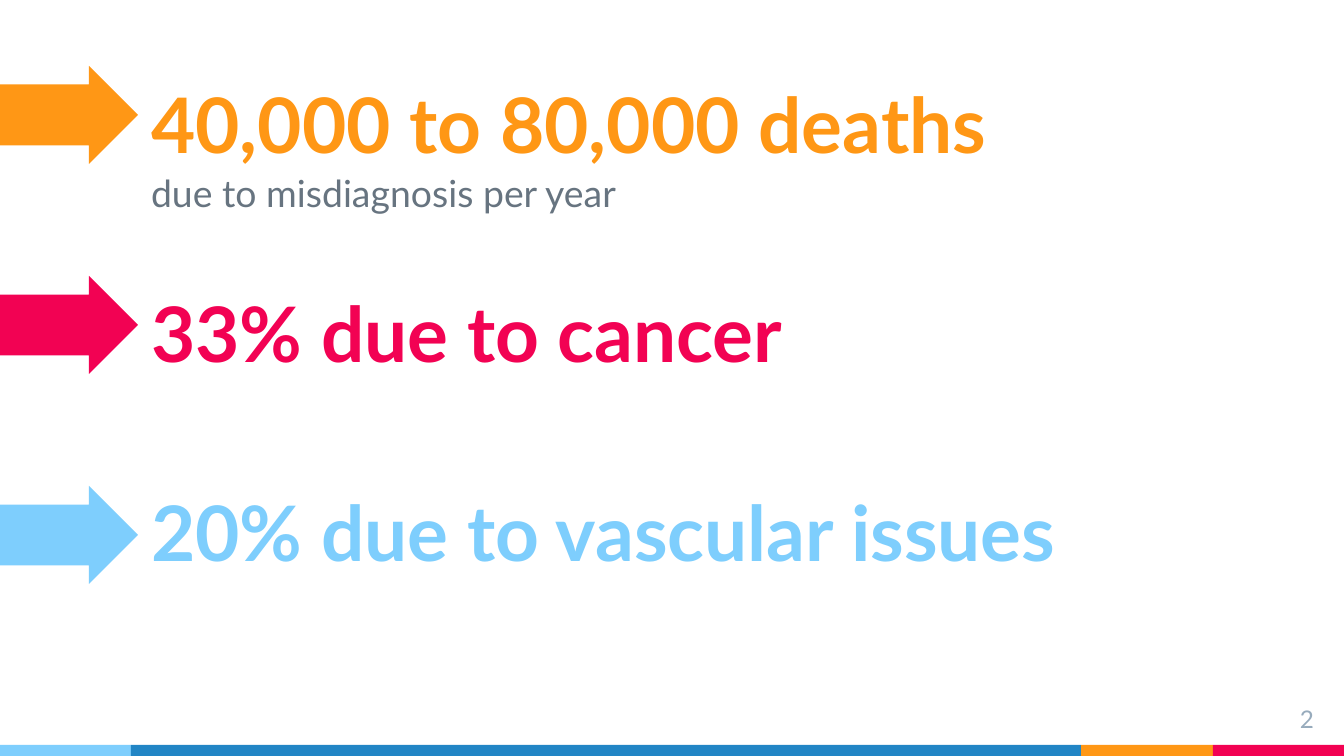
import dataclasses
import typing

import pptx
import pptx.dml.color
import pptx.enum.shapes
import pptx.enum.text
import pptx.util

SHAPE = pptx.enum.shapes.MSO_SHAPE
ALIGN = pptx.enum.text.PP_ALIGN
ANCHOR = pptx.enum.text.MSO_ANCHOR
SCALE = 914400 / 134.4  # EMU in one px
WIDE, HIGH = 1344, 756


@dataclasses.dataclass(frozen=True)
class Theme:
    font: str = "Lato"
    orange: str = "FF9715"
    pink: str = "F20253"
    sky: str = "7ECEFD"
    blue: str = "2185C5"
    slate: str = "677480"
    mist: str = "97ABBC"
    head: int = 41
    body: int = 20
    small: int = 13
    inset: int = 13


@dataclasses.dataclass(frozen=True)
class Box:
    left: int
    top: int
    width: int
    height: int

    def emu(self) -> list[int]:
        return [px(n) for n in dataclasses.astuple(self)]


@dataclasses.dataclass(frozen=True)
class Fact:
    text: str
    color: str
    top: int


THEME = Theme()
FACTS = [
    Fact("40,000 to 80,000 deaths", THEME.orange, 50),
    Fact("33% due to cancer", THEME.pink, 259),
    Fact("20% due to vascular issues", THEME.sky, 458),
]
ARROW = Box(0, 66, 138, 98)
PITCH = 210
COLUMN = 1105
EDGES = [0, 131, 1081, 1213, WIDE]
STRIPES = [THEME.sky, THEME.blue, THEME.orange, THEME.pink]
STRIPE_TOP = 745


def px(count: int) -> int:
    return round(count * SCALE)


def rgb(color: str) -> pptx.dml.color.RGBColor:
    return pptx.dml.color.RGBColor.from_string(color)


def add_block(slide: typing.Any, kind: typing.Any, box: Box, color: str) -> typing.Any:
    shape = slide.shapes.add_shape(kind, *box.emu())
    shape.shadow.inherit = False
    shape.fill.solid()
    shape.fill.fore_color.rgb = rgb(color)
    shape.line.fill.background()
    return shape


def set_text(shape: typing.Any, box: Box, text: str, size: int, color: str,
             bold: bool = False, anchor: typing.Any = ANCHOR.TOP,
             align: typing.Any = ALIGN.LEFT, before: int = 0) -> None:
    shape.left, shape.top, shape.width, shape.height = box.emu()
    frame = shape.text_frame
    frame.text = text
    frame.word_wrap = True
    frame.auto_size = pptx.enum.text.MSO_AUTO_SIZE.NONE
    frame.vertical_anchor = anchor
    frame.margin_left = frame.margin_right = px(THEME.inset)
    frame.margin_top = frame.margin_bottom = px(THEME.inset)
    para = frame.paragraphs[0]
    para.alignment = align
    para.space_before = pptx.util.Pt(before)
    para.font.name = THEME.font
    para.font.size = pptx.util.Pt(size)
    para.font.bold = bold
    para.font.color.rgb = rgb(color)


def add_text(slide: typing.Any) -> typing.Any:
    return slide.shapes.add_textbox(0, 0, 0, 0)


def main() -> None:
    deck = pptx.Presentation()
    deck.slide_width, deck.slide_height = px(WIDE), px(HIGH)
    slide = deck.slides.add_slide(deck.slide_layouts[0])

    # Footer stripes
    for left, right, color in zip(EDGES, EDGES[1:], STRIPES):
        box = Box(left, STRIPE_TOP, right - left, HIGH - STRIPE_TOP)
        add_block(slide, SHAPE.RECTANGLE, box, color)

    # Facts, each with its arrow; the first is the slide title
    for row, fact in enumerate(FACTS):
        head = add_text(slide) if row else slide.shapes.title
        set_text(head, Box(ARROW.width, fact.top, COLUMN, 132), fact.text,
                 THEME.head, fact.color, bold=True, anchor=ANCHOR.BOTTOM)
        spot = dataclasses.replace(ARROW, top=ARROW.top + row * PITCH)
        arrow = add_block(slide, SHAPE.RIGHT_ARROW, spot, fact.color)
        arrow.adjustments[0] = 0.62
        arrow.adjustments[1] = 0.5

    # Subtitle
    set_text(slide.placeholders[1], Box(ARROW.width, 157, COLUMN, 69),
             "due to misdiagnosis per year", THEME.body, THEME.slate, before=6)

    # Page number
    set_text(add_text(slide), Box(1246, 691, 81, 46), "2",
             THEME.small, THEME.mist, align=ALIGN.RIGHT)

    deck.save("out.pptx")


if __name__ == "__main__":
    main()
